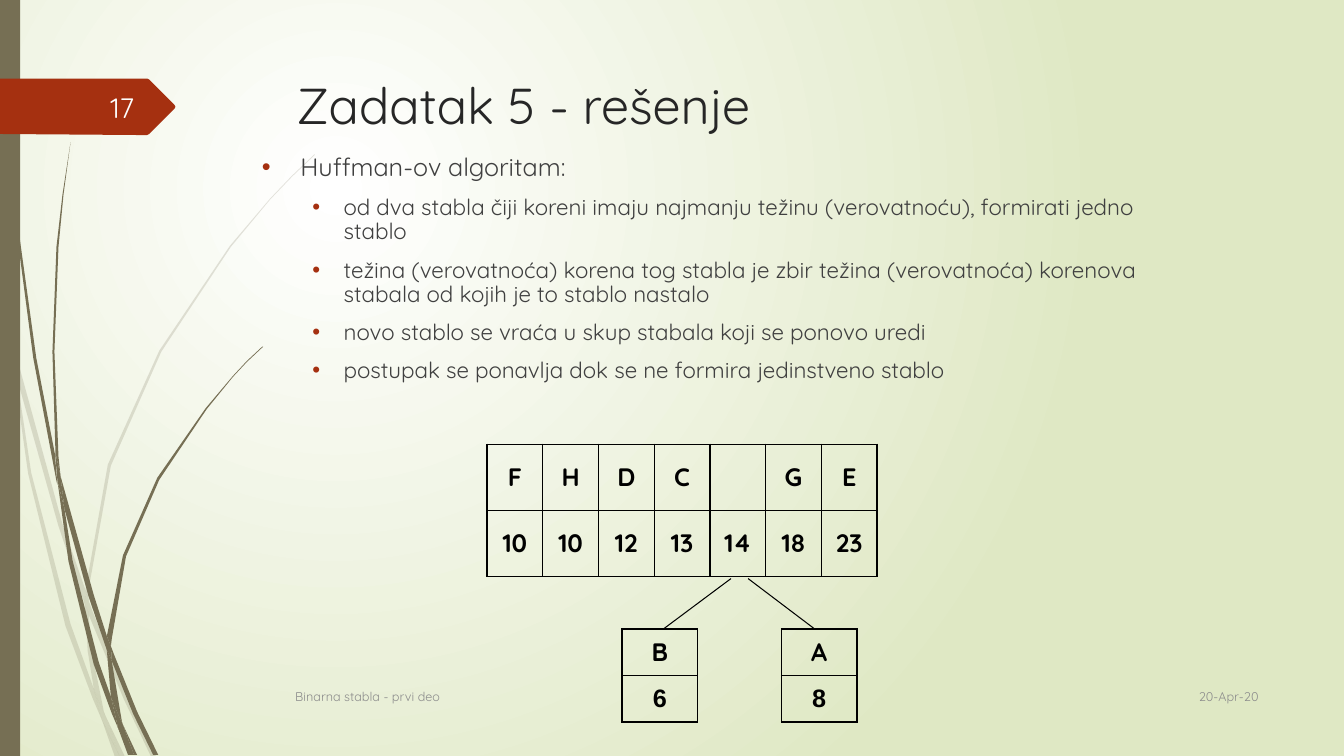
from lxml import etree
from pptx import Presentation
from pptx.dml.color import RGBColor
from pptx.enum import shapes, text
from pptx.oxml import ns
from pptx.util import Cm, Pt

OLIVE, RED, BLACK, DARK, GREY = "766F54", "A53010", "000000", "404040", "8C8C8C"
LEFT, CENTER, RIGHT = text.PP_ALIGN.LEFT, text.PP_ALIGN.CENTER, text.PP_ALIGN.RIGHT

# Grass: the corners of each piece of a blade, in inches
FAINT_GRASS = [
    [(.11, 3.5), (.09, 3.22), (0, 2.82), (0, 2.99), (.1, 3.44)],
    [(.58, 5.22), (.84, 5.99), (.85, 5.86), (.62, 5.2), (.14, 3.45), (.17, 3.76)],
    [(.92, 6.07), (.88, 5.96), (.88, 6.1), (1.23, 6.94), (1.5, 7.51), (1.55, 7.51), (1.27, 6.92)],
    [(1.19, 7.51), (1.24, 7.51), (1.05, 7.11)],
    [(.93, 6.83), (.7, 6.19), (.31, 4.69), (.17, 3.76), (.11, 3.5), (.28, 4.7), (.65, 6.21),
     (.92, 6.93), (1.01, 7.14), (.99, 7.07)],
    [(.84, 5.99), (.87, 6.46), (.93, 6.83), (.96, 6.92), (1.05, 7.11), (1.03, 7.06), (.91, 6.46),
     (.88, 6.1), (.88, 6.08)],
    [(.88, 5.84), (1.1, 4.62), (1.6, 3.49), (2.29, 2.45), (2.68, 1.98), (2.9, 1.75), (3.12, 1.54),
     (3.12, 1.53), (2.89, 1.75), (2.68, 1.97), (2.28, 2.44), (1.58, 3.48), (1.07, 4.61),
     (.85, 5.84), (.85, 5.86), (.88, 5.96)],
    [(1.01, 7.14), (1.14, 7.51), (1.19, 7.51)],
    [(.88, 6.08), (.88, 6.1), (.88, 5.96), (.85, 5.86), (.84, 5.99)],
    [(.96, 6.92), (.93, 6.83), (.99, 7.07), (1.01, 7.14), (1.19, 7.51), (1.05, 7.11)],
]
STRONG_GRASS = [
    [(.07, 1.1), (.17, 2.33), (.33, 3.55), (.56, 4.77), (.57, 4.81), (.55, 4.57), (.55, 4.53),
     (.36, 3.55), (.19, 2.32), (.08, 1.09), (.05, .48), (.04, 0), (.03, 0), (.04, .48)],
    [(.88, 5.92), (1.06, 6.45), (1.06, 6.33), (1.06, 6.31), (.93, 5.9), (.6, 4.72), (.64, 5.05)],
    [(1.13, 6.49), (1.1, 6.41), (1.11, 6.56), (1.32, 7.08), (1.52, 7.49), (1.57, 7.49),
     (1.36, 7.06)],
    [(1.1, 6.91), (.98, 6.57), (.72, 5.56), (.64, 5.05), (.57, 4.77), (.68, 5.57), (.93, 6.59),
     (1.11, 7.08), (1.17, 7.22), (1.16, 7.17)],
    [(.6, 4.72), (.58, 4.53), (.54, 3.49), (.58, 2.45), (.63, 1.93), (.7, 1.41), (.62, 1.93),
     (.56, 2.45), (.52, 3.49), (.55, 4.49)],
    [(1.33, 7.49), (1.36, 7.49), (1.22, 7.19)],
    [(.57, 4.77), (.64, 5.05), (.6, 4.72), (.55, 4.49), (.55, 4.53)],
    [(1.11, 6.33), (1.25, 5.52), (1.58, 4.76), (2.05, 4.06), (2.31, 3.74), (2.45, 3.59),
     (2.61, 3.44), (2.6, 3.44), (2.45, 3.58), (2.31, 3.73), (2.04, 4.05), (1.56, 4.74),
     (1.22, 5.51), (1.06, 6.31), (1.1, 6.41)],
    [(1.17, 7.22), (1.27, 7.49), (1.31, 7.49)],
    [(1.06, 6.45), (1.1, 6.91), (1.16, 7.06), (1.22, 7.19), (1.21, 7.16), (1.11, 6.56),
     (1.09, 6.51)],
    [(1.06, 6.45), (1.09, 6.51), (1.11, 6.56), (1.1, 6.41), (1.06, 6.31), (1.06, 6.33)],
    [(1.16, 7.06), (1.1, 6.91), (1.16, 7.17), (1.17, 7.22), (1.3, 7.49), (1.33, 7.49),
     (1.22, 7.19)],
]
BADGE = [(1.73, 1.08), (1.48, 1.33), (1.46, 1.34), (1.36, 1.34), (0, 1.33), (0, .78), (1.36, .78),
         (1.46, .78), (1.48, .79), (1.73, 1.04), (1.74, 1.06)]

# Text, (left, top, width, height), format
TITLE = ("Zadatak 5 - rešenje", (2.84, .69, 9.75, 1.4), dict(size=36, color="262626"))
LABELS = [
    ("20-Apr-20", (11.33, 6.7, 1.25, .41), dict(size=9, color=GREY, align=RIGHT)),
    ("Binarna stabla - prvi deo", (2.83, 6.71, 8.33, .4), dict(size=9, color=GREY)),
    ("17", (.58, .86, .85, .4), dict(size=20, color="FEFFFF", align=RIGHT)),
]
BODY_BOX = (2.5, 1.49, 9.25, 2.67)
BODY = [
    (0, "Huffman-ov algoritam:"),
    (1, "od dva stabla čiji koreni imaju najmanju težinu (verovatnoću), formirati jedno stablo"),
    (1, "težina (verovatnoća) korena tog stabla je zbir težina (verovatnoća) korenova "
        "stabala od kojih je to stablo nastalo"),
    (1, "novo stablo se vraća u skup stabala koji se ponovo uredi"),
    (1, "postupak se ponavlja dok se ne formira jedinstveno stablo"),
]
LEVELS = [dict(size=18, indent=.38, hang=.38), dict(size=16, indent=.81, hang=.31)]

# (left, top, width, height), rows, font of the last row, thick outer sides
TABLES = [
    ((4.83, 4.41, 3.87, 1.31), [["F", "H", "D", "C", "", "G", "E"],
                                ["10", "10", "12", "13", "14", "18", "23"]], "Quicksand", "LRTB"),
    ((6.17, 6.24, .75, .92), [["B"], ["6"]], "Arial", "LTB"),
    ((7.75, 6.24, .75, .92), [["A"], ["8"]], "Arial", "TB"),
]
BRANCHES = [(6.58, 6.24, 7.25, 5.74), (7.42, 5.74, 8.08, 6.24)]


def lengths(*inches):
    return [Cm(v * 2.54) for v in inches]


def rgb(color):
    return RGBColor.from_string(color)


def add_xml(parent, tag, **attrs):
    return etree.SubElement(parent, ns.qn(tag), {k: str(v) for k, v in attrs.items()})


def write(p, content, size=18, color=BLACK, font="Quicksand", bold=False, align=LEFT):
    p.alignment = align
    r = p.add_run()
    r.text = content
    r.font.size, r.font.name, r.font.bold = Pt(size), font, bold
    r.font.color.rgb = rgb(color)


def add_box(s, box, anchor=text.MSO_ANCHOR.MIDDLE):
    tf = s.shapes.add_textbox(*lengths(*box)).text_frame
    tf.word_wrap, tf.vertical_anchor = True, anchor
    return tf


def paint(sp, color, opacity=100):
    sp.shadow.inherit = False
    sp.fill.solid()
    sp.fill.fore_color.rgb = rgb(color)
    sp.line.fill.background()
    if opacity < 100:
        clr = sp._element.spPr.find(".//" + ns.qn("a:srgbClr"))
        add_xml(clr, "a:alpha", val=opacity * 1000)


def add_outline(parent, corners, color, opacity=100):
    start, *rest = [lengths(*corner) for corner in corners]
    builder = parent.shapes.build_freeform(*start)
    builder.add_line_segments(rest, close=True)
    paint(builder.convert_to_shape(), color, opacity)


def add_body(s):
    tf = add_box(s, BODY_BOX, text.MSO_ANCHOR.TOP)
    for i, (level, content) in enumerate(BODY):
        p = tf.add_paragraph() if i else tf.paragraphs[0]
        style = LEVELS[level]
        write(p, content, size=style["size"], color=DARK)
        p.level, p.line_spacing, p.space_before = level, .9, Pt(10)
        pPr = p._p.get_or_add_pPr()
        indent, hang = lengths(style["indent"], style["hang"])
        pPr.set("marL", str(indent))
        pPr.set("indent", str(-hang))
        add_xml(add_xml(pPr, "a:buClr"), "a:srgbClr", val=RED)
        add_xml(pPr, "a:buFont", typeface="Arial")
        add_xml(pPr, "a:buChar", char="•")


def set_borders(cell, thick):
    tcPr = cell._tc.get_or_add_tcPr()
    for i, side in enumerate("LRTB"):
        ln = add_xml(tcPr, "a:ln" + side, w=Pt(1.5 if side in thick else 1))
        add_xml(add_xml(ln, "a:solidFill"), "a:srgbClr", val=BLACK)
        tcPr.insert(i, ln)


def add_weights(s, box, rows, last_font, thick):
    n, m = len(rows), len(rows[0])
    table = s.shapes.add_table(n, m, *lengths(*box)).table
    table.first_row = table.horz_banding = False
    for i, row in enumerate(rows):
        for j, content in enumerate(row):
            cell = table.cell(i, j)
            cell.fill.background()
            cell.vertical_anchor = text.MSO_ANCHOR.MIDDLE
            outer = {"L": j == 0, "R": j == m - 1, "T": i == 0, "B": i == n - 1}
            set_borders(cell, [side for side in thick if outer[side]])
            if content:
                write(cell.text_frame.paragraphs[0], content, bold=True, align=CENTER,
                      font=last_font if i == n - 1 else "Quicksand")


def set_background(s):
    fill = s.background.fill
    fill.gradient()
    for stop, color, position in zip(fill.gradient_stops, ("FFFFFF", "DFE8C4"), (0, 1)):
        stop.color.rgb, stop.position = rgb(color), position
    grad = s._element.find(".//" + ns.qn("a:gradFill"))
    grad.remove(grad.find(ns.qn("a:lin")))
    add_xml(add_xml(grad, "a:path", path="circle"), "a:fillToRect",
            l=50000, t=50000, r=100000, b=100000)


def main():
    prs = Presentation()
    prs.slide_width, prs.slide_height = lengths(13.33, 7.5)
    s = prs.slides.add_slide(prs.slide_layouts[6])
    set_background(s)
    for pieces, opacity in ((FAINT_GRASS, 20), (STRONG_GRASS, 100)):
        group = s.shapes.add_group_shape()
        for corners in pieces:
            add_outline(group, corners, OLIVE, opacity)
    paint(s.shapes.add_shape(shapes.MSO_SHAPE.RECTANGLE, *lengths(0, 0, .2, 7.5)), OLIVE)
    add_outline(s, BADGE, RED)
    content, box, style = TITLE
    write(add_box(s, box, text.MSO_ANCHOR.TOP).paragraphs[0], content, **style)
    for content, box, style in LABELS:
        write(add_box(s, box).paragraphs[0], content, **style)
    add_body(s)
    for spec in TABLES:
        add_weights(s, *spec)
    for ends in BRANCHES:
        line = s.shapes.add_connector(shapes.MSO_CONNECTOR.STRAIGHT, *lengths(*ends))
        line.line.width, line.line.color.rgb = Pt(.75), rgb(BLACK)
        add_xml(line._element.spPr, "a:effectLst")
    prs.save("out.pptx")


if __name__ == "__main__":
    main()
